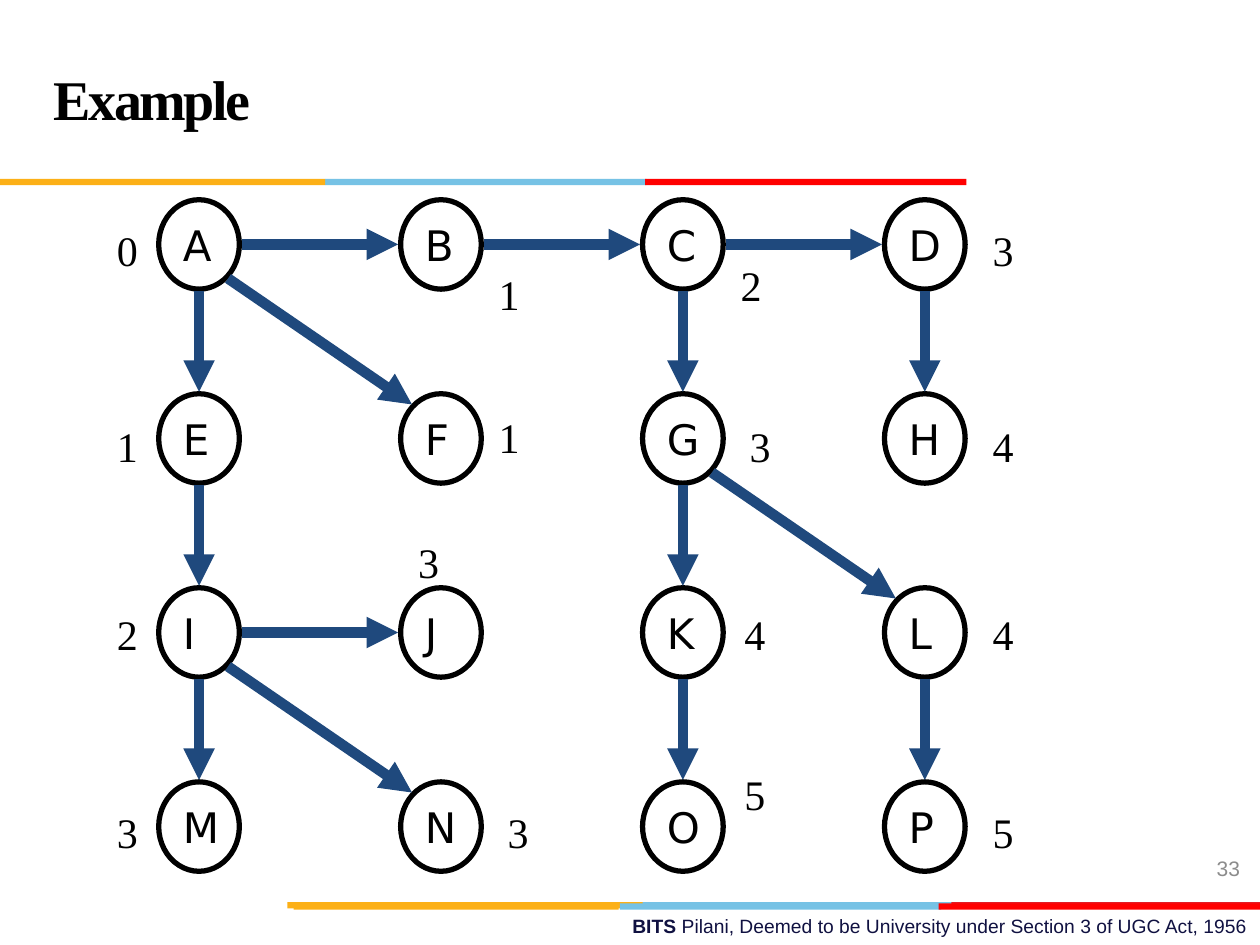
from lxml.etree import SubElement
from pptx import Presentation
from pptx.dml.color import RGBColor
from pptx.enum.shapes import MSO_CONNECTOR as Link, MSO_SHAPE as Form
from pptx.enum.text import MSO_ANCHOR as Anchor, PP_ALIGN as Align
from pptx.oxml.ns import qn
from pptx.util import Inches, Pt

BLACK = RGBColor(0x00, 0x00, 0x00)
NAVY = RGBColor(0x10, 0x11, 0x41)
BLUE = RGBColor(0x1F, 0x49, 0x7D)
SKY = RGBColor(0x76, 0xC2, 0xE5)
GOLD = RGBColor(0xFC, 0xB0, 0x17)
RED = RGBColor(0xFF, 0x00, 0x00)
BRICK = RGBColor(0xE3, 0x1C, 0x24)
GRAY = RGBColor(0x8C, 0x8C, 0x8C)

SERIF, SANS, ROUND = "Times New Roman", "Arial", "DejaVu Sans"
NAMES = "ABCDEFGHIJKLMNOP"
EDGES = "AB BC CD AE AF CG DH EI GK GL IJ IM IN KO LP".split()
DEPTHS = {
    "A": ("0", -0.75, -0.21), "B": ("1", 0.36, 0.14),
    "C": ("2", 0.36, 0.07), "D": ("3", 0.44, -0.21),
    "E": ("1", -0.75, -0.19), "F": ("1", 0.36, -0.26),
    "G": ("3", 0.43, -0.19), "H": ("4", 0.44, -0.19),
    "I": ("2", -0.75, -0.24), "J": ("3", -0.28, -0.81),
    "K": ("4", 0.39, -0.24), "L": ("4", 0.44, -0.24),
    "M": ("3", -0.75, -0.21), "N": ("3", 0.43, -0.21),
    "O": ("5", 0.39, -0.51), "P": ("5", 0.44, -0.21),
}


class Graph:
    left, top = 1.58, 1.94
    col, row = 1.92, 1.54
    wide, high = 0.64, 0.71

    def __init__(self, slide):
        self.slide = slide
        self.shapes = slide.shapes

    def spot(self, name):
        row, col = divmod(NAMES.index(name), 4)
        return self.left + col * self.col, self.top + row * self.row

    def style(self, para, face, size, color, bold=None):
        font = para.font
        font.name, font.size, font.bold = face, Pt(size), bold
        font.color.rgb = color

    def text(self, box, words, face, size, color, bold=None,
             align=Align.LEFT, anchor=Anchor.TOP, wrap=True):
        shape = self.shapes.add_textbox(*map(Inches, box))
        frame = shape.text_frame
        frame.word_wrap, frame.vertical_anchor = wrap, anchor
        para = frame.paragraphs[0]
        para.alignment = align
        for word in words:
            para.add_run().text = word
        self.style(para, face, size, color, bold)
        return para

    def bar(self, x, y, wide, color):
        box = self.shapes.add_shape(
            Form.RECTANGLE, *map(Inches, (x, y, wide, 0.05)))
        box.shadow.inherit = False
        box.fill.solid()
        box.fill.fore_color.rgb = color
        box.line.fill.background()

    def node(self, name):
        x, y = self.spot(name)
        oval = self.shapes.add_shape(Form.OVAL, *map(Inches, (
            x - self.wide / 2, y - self.high / 2, self.wide, self.high)))
        oval.shadow.inherit = False
        oval.fill.background()
        oval.line.color.rgb, oval.line.width = BLACK, Pt(3)
        frame = oval.text_frame
        frame.word_wrap, frame.vertical_anchor = False, Anchor.MIDDLE
        para = frame.paragraphs[0]
        para.text, para.alignment = name, Align.LEFT
        self.style(para, ROUND, 24, BLACK)

    def edge(self, start, end):
        x1, y1 = self.spot(start)
        x2, y2 = self.spot(end)
        flat, plumb = y1 == y2, x1 == x2
        dx = 0 if plumb else 0.34 if flat else 0.23
        dy = 0 if flat else 0.37 if plumb else 0.27
        line = self.shapes.add_connector(Link.STRAIGHT, *map(Inches, (
            x1 + dx, y1 + dy, x2 - dx, y2 - dy)))
        line.line.color.rgb, line.line.width = BLUE, Pt(6)
        SubElement(line.line._get_or_add_ln(), qn("a:tailEnd"), type="triangle")
        SubElement(line._element.spPr, qn("a:effectLst"))

    def depth(self, name, value, dx, dy):
        x, y = self.spot(name)
        self.text((x + dx, y + dy, 0.31, 0.43), [value],
                  SERIF, 24, BLACK, wrap=False)


def main():
    deck = Presentation()
    deck.slide_width, deck.slide_height = Inches(10), Inches(7.5)
    graph = Graph(deck.slides.add_slide(deck.slide_layouts[6]))

    foot = graph.text(
        (3.58, 7.21, 6.42, 0.29),
        ["BITS ", "Pilani, Deemed to be University under Section 3 of UGC Act, 1956"],
        SANS, 11, NAVY, align=Align.RIGHT)
    foot.runs[0].font.bold = True
    for bar in (
        (5.06, 7.16, 2.55, SKY), (7.55, 7.16, 2.45, BRICK),
        (2.28, 7.16, 2.82, GOLD), (4.92, 7.17, 2.55, SKY),
        (2.33, 7.17, 2.58, GOLD), (7.45, 7.17, 2.55, RED),
        (2.58, 1.42, 2.55, SKY), (0, 1.42, 2.58, GOLD),
        (5.12, 1.42, 2.55, RED),
    ):
        graph.bar(*bar)

    title = graph.text((0.33, 0.17, 7.92, 1.25), ["Example"], SERIF, 32,
                       BLACK, bold=True, anchor=Anchor.MIDDLE)
    title.line_spacing = Pt(36)
    title.runs[0]._r.get_or_add_rPr().set("spc", "-150")
    graph.text((7.61, 6.69, 2.33, 0.4), ["33"], SANS, 12, GRAY,
               align=Align.RIGHT, anchor=Anchor.MIDDLE)

    for name in NAMES:
        graph.node(name)
    for start, end in EDGES:
        graph.edge(start, end)
    for name, label in DEPTHS.items():
        graph.depth(name, *label)
    deck.save("out.pptx")


if __name__ == "__main__":
    main()
